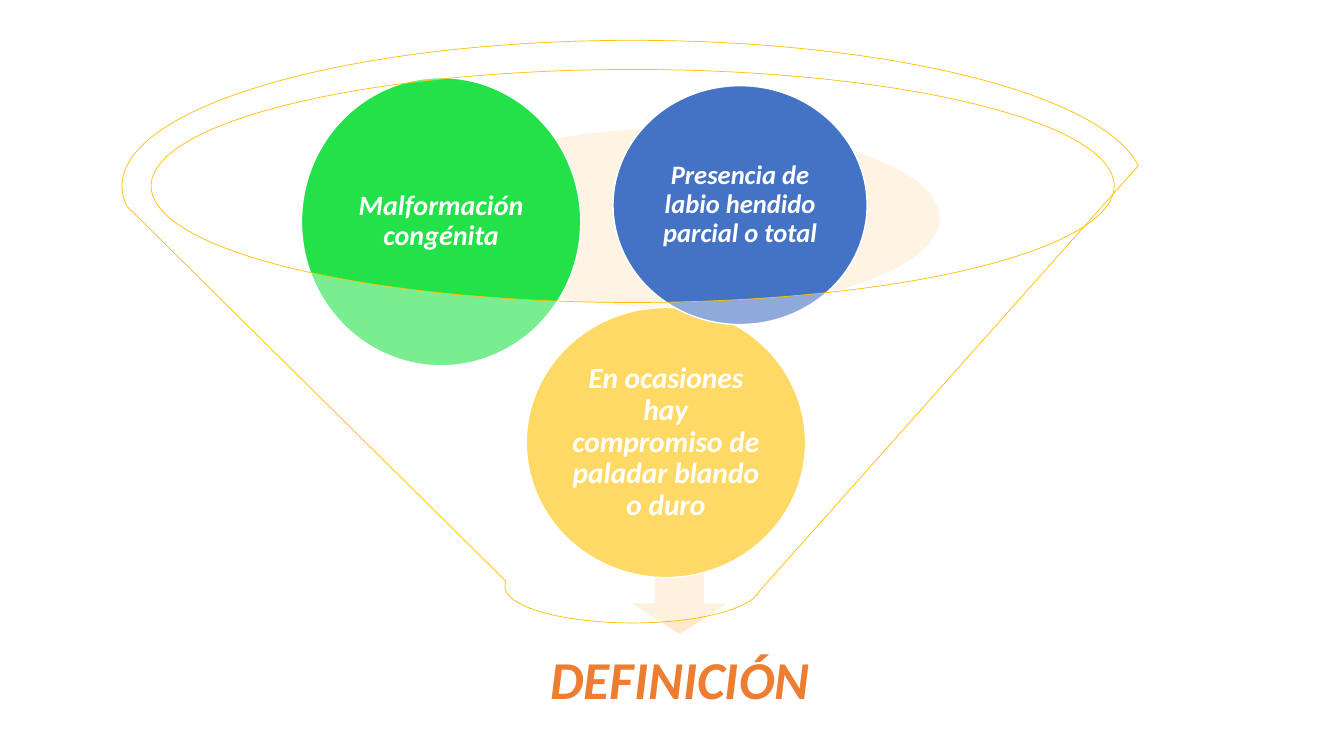
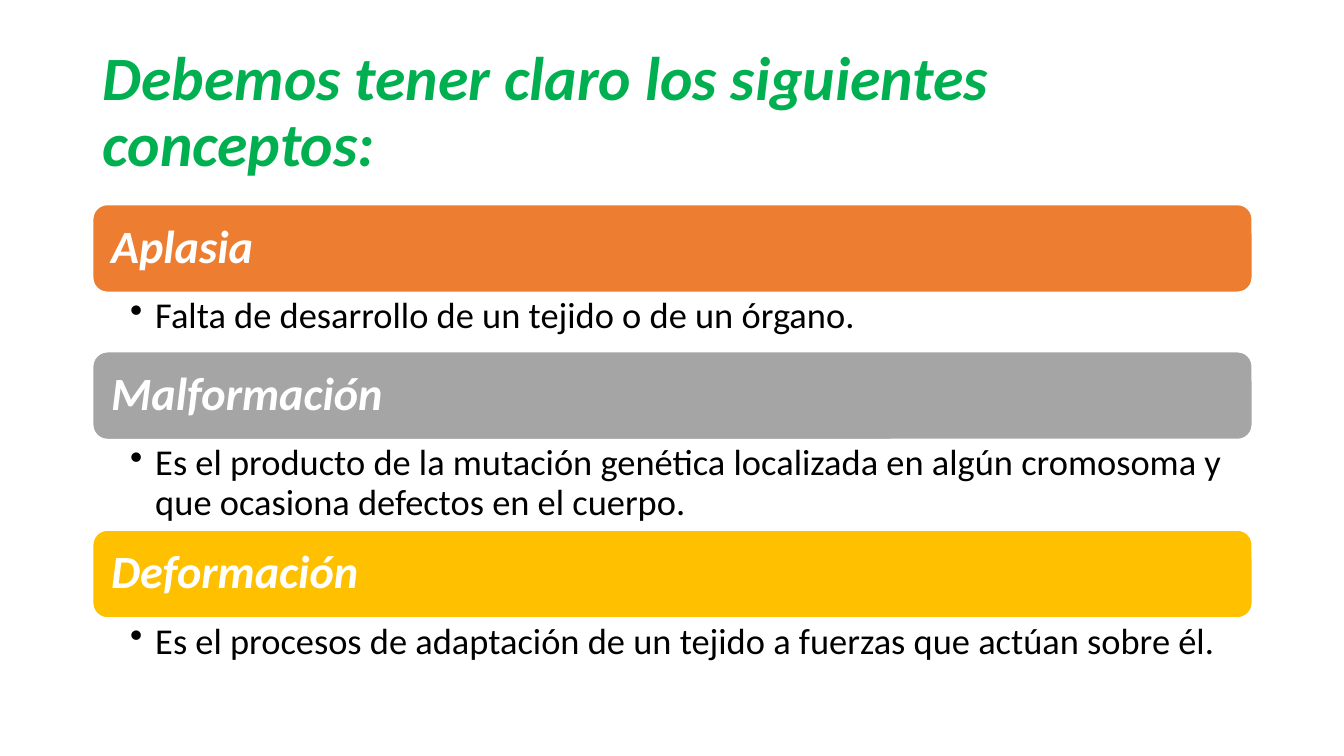
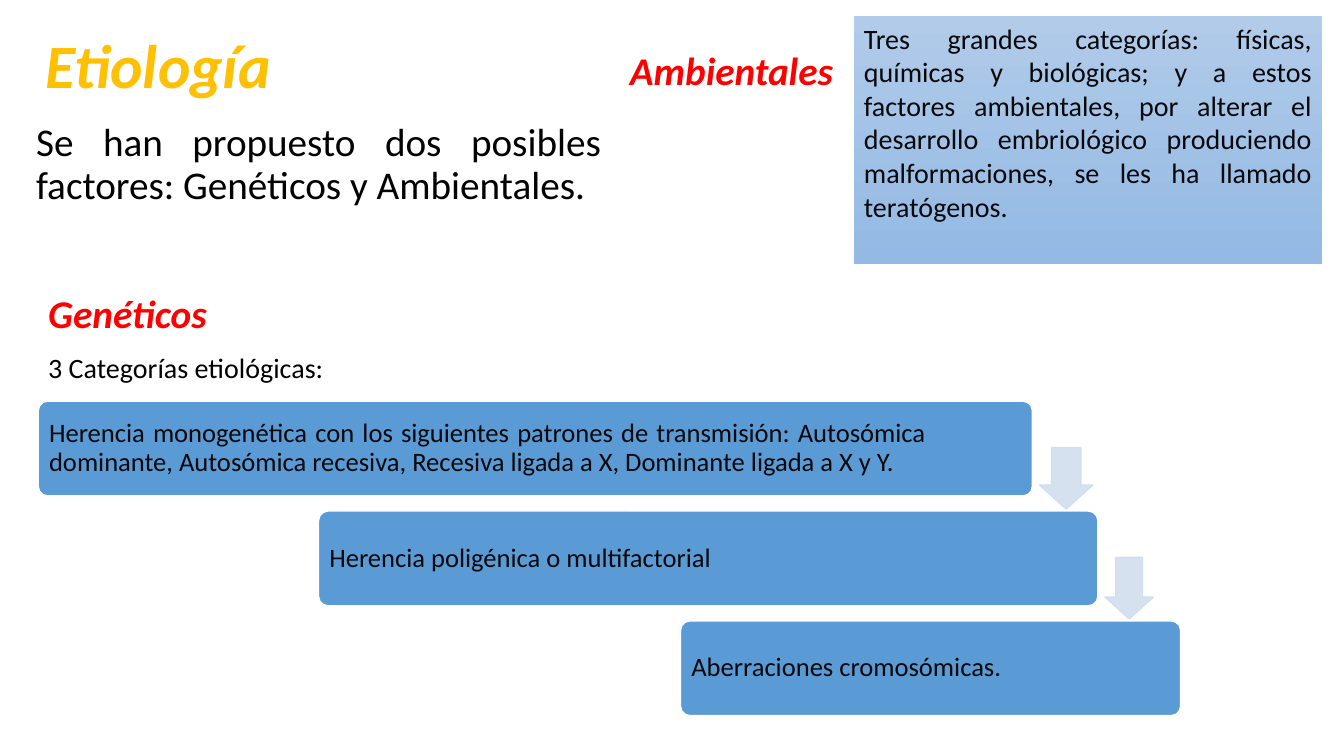
"""Build three slides on the definition, concepts and aetiology of cleft lip."""
import dataclasses

import pptx
import pptx.dml.color
import pptx.enum.shapes
import pptx.enum.text
import pptx.oxml.ns
import pptx.oxml.xmlchemy
import pptx.util
from lxml import etree

Inches = pptx.util.Inches
SHAPE = pptx.enum.shapes.MSO_SHAPE
ALIGN = pptx.enum.text.PP_ALIGN
ANCHOR = pptx.enum.text.MSO_ANCHOR
RGB = pptx.dml.color.RGBColor.from_string
qn = pptx.oxml.ns.qn


@dataclasses.dataclass(frozen=True)
class Theme:
    font: str = "Calibri"
    white: str = "FFFFFF"
    black: str = "000000"
    ink: str = "07080B"
    orange: str = "ED7D31"
    gold: str = "FFC000"
    grey: str = "A5A5A5"
    blue: str = "4472C4"
    sky: str = "5B9BD5"
    ice: str = "D2DEEF"
    lime: str = "23E148"
    green: str = "00B050"
    red: str = "FF0000"
    cream: str = "FFE2BD"
    peach: str = "FFE8CC"
    panel_top: str = "B1CBE9"
    panel_bottom: str = "93B9E4"
    title: int = 44
    outcome: int = 38
    band: int = 33
    heading: int = 28
    bullet: int = 26
    body: int = 20
    step: int = 19


theme = Theme()


def write_text(tf, text, size, color, strong=False, align=ALIGN.LEFT, anchor=ANCHOR.TOP,
               spacing=1, inset=(0.1, 0.05, 0.1, 0.05), bullet=False):
    tf.word_wrap = True
    tf.auto_size = pptx.enum.text.MSO_AUTO_SIZE.NONE
    tf.vertical_anchor = anchor
    tf.margin_left, tf.margin_top, tf.margin_right, tf.margin_bottom = map(Inches, inset)
    p = tf.paragraphs[0]
    p.alignment, p.line_spacing = align, spacing
    if bullet:
        pPr = p._p.get_or_add_pPr()
        pPr.set("marL", str(Inches(0.25)))
        pPr.set("indent", str(Inches(-0.25)))
        etree.SubElement(pPr, qn("a:buChar")).set("char", "•")
    r = p.add_run()
    r.text = text
    r.font.name, r.font.size = theme.font, pptx.util.Pt(size)
    r.font.bold = r.font.italic = strong
    r.font.color.rgb = RGB(color)


def add_shape(s, kind, box, fill, line=None, width=1, alpha=None):
    sp = s.shapes.add_shape(kind, *map(Inches, box))
    sp.shadow.inherit = False
    sp.fill.solid()
    sp.fill.fore_color.rgb = RGB(fill)
    if alpha:
        color = sp._element.spPr.find(qn("a:solidFill"))[0]
        etree.SubElement(color, qn("a:alpha")).set("val", str(alpha * 1000))
    if line:
        sp.line.color.rgb = RGB(line)
        sp.line.width = pptx.util.Pt(width)
    else:
        sp.line.fill.background()
    return sp


prs = pptx.Presentation()
prs.slide_width, prs.slide_height = Inches(13.33), Inches(7.5)

titles = [
    ("DEFINICIÓN", (4.34, 6.17, 4.81, 1.2), theme.orange, theme.outcome, ALIGN.CENTER, (0.3,) * 4),
    ("Debemos tener claro los siguientes conceptos:", (0.92, 0.4, 11.5, 1.45), theme.green,
     theme.title, ALIGN.LEFT, (0.1, 0.05, 0.1, 0.05)),
    ("Etiología", (0.35, 0.07, 4.16, 1.22), theme.gold, theme.title, ALIGN.LEFT,
     (0.1, 0.05, 0.1, 0.05)),
]
for text, box, color, size, align, inset in titles:
    s = prs.slides.add_slide(prs.slide_layouts[5])
    sp = s.shapes.title
    sp.left, sp.top, sp.width, sp.height = map(Inches, box)
    write_text(sp.text_frame, text, size, color, strong=True, align=align,
               anchor=ANCHOR.MIDDLE, spacing=0.9, inset=inset)
definition, concepts, aetiology = prs.slides

add_shape(definition, SHAPE.OVAL, (4.15, 1.27, 5.17, 1.79), theme.cream, alpha=40)
add_shape(definition, SHAPE.DOWN_ARROW, (6.24, 5.66, 1, 0.64), theme.peach, theme.white)
balls = [
    ("En ocasiones hay compromiso de paladar blando o duro", (5.22, 3.05, 2.77, 2.68), theme.gold, 21),
    ("Malformación congénita", (2.99, 0.77, 2.77, 2.86), theme.lime, 20),
    ("Presencia de labio hendido parcial o total", (6.08, 0.85, 2.52, 2.37), theme.blue, 19),
]
for text, box, fill, size in balls:
    sp = add_shape(definition, SHAPE.OVAL, box, fill, theme.white)
    write_text(sp.text_frame, text, size, theme.white, strong=True, align=ALIGN.CENTER,
               anchor=ANCHOR.MIDDLE, spacing=0.9, inset=(0.03,) * 4)
add_shape(definition, SHAPE.FUNNEL, (1.21, 0.4, 10.13, 5.78), theme.white, theme.gold, 0.5, alpha=40)

terms = [
    ("Aplasia", theme.orange, 0.59, "Falta de desarrollo de un tejido o de un órgano."),
    ("Malformación", theme.grey, 0.9,
     "Es el producto de la mutación genética localizada en algún cromosoma y que ocasiona "
     "defectos en el cuerpo."),
    ("Deformación", theme.gold, 0.59,
     "Es el procesos de adaptación de un tejido a fuerzas que actúan sobre él."),
]
top, band_height = 2.03, 0.87
for term, fill, height, meaning in terms:
    sp = add_shape(concepts, SHAPE.ROUNDED_RECTANGLE, (0.92, top, 11.5, band_height), fill, theme.white)
    write_text(sp.text_frame, term, theme.band, theme.white, strong=True, anchor=ANCHOR.MIDDLE,
               spacing=0.9, inset=(0.14,) * 4)
    top += band_height
    sp = concepts.shapes.add_textbox(*map(Inches, (0.92, top, 11.5, height)))
    write_text(sp.text_frame, meaning, theme.bullet, theme.black, spacing=0.9,
               inset=(0.37, 0.05, 0.26, 0.05), bullet=True)
    top += height

heading = dict(size=theme.heading, color=theme.red, strong=True)
notes = [
    ("Se han propuesto dos posibles factores: Genéticos y Ambientales.", (0.26, 1.17, 5.8, 1.15),
     dict(size=theme.heading, color=theme.black, align=ALIGN.JUSTIFY, spacing=0.9)),
    ("Genéticos", (0.38, 2.82, 2.27, 0.57), heading),
    ("3 Categorías etiológicas:", (0.38, 3.43, 3.08, 0.44), dict(size=theme.body, color=theme.black)),
    ("Ambientales", (6.15, 0.41, 2.33, 0.57), heading),
]
for text, box, style in notes:
    sp = aetiology.shapes.add_textbox(*map(Inches, box))
    write_text(sp.text_frame, text, **style)

steps = [
    ("Herencia monogenética con los siguientes patrones de transmisión: Autosómica dominante, "
     "Autosómica recesiva, Recesiva ligada a X, Dominante ligada a X y Y.", 0.38, 9.86, 0.53),
    ("Herencia poligénica o multifactorial", 3.16, 7.73, 0.48),
    ("Aberraciones cromosómicas.", 6.75, 4.96, None),
]
for i, (text, left, width, arrow_width) in enumerate(steps):
    top = 3.98 + 1.09 * i
    sp = add_shape(aetiology, SHAPE.ROUNDED_RECTANGLE, (left, top, width, 0.94), theme.sky, theme.white)
    sp.adjustments[0] = 0.1
    write_text(sp.text_frame, text, theme.step, theme.ink, align=ALIGN.JUSTIFY,
               anchor=ANCHOR.MIDDLE, spacing=0.9, inset=(0.08, 0.08, 1.03, 0.08))
    if arrow_width:
        sp = add_shape(aetiology, SHAPE.DOWN_ARROW, (left + width + 0.07, top + 0.46, arrow_width, 0.61),
                       theme.ice, theme.ice, alpha=90)
        sp.adjustments[0], sp.adjustments[1] = 0.55, 0.45

panel = add_shape(aetiology, SHAPE.RECTANGLE, (8.47, 0.16, 4.64, 2.46), theme.panel_top)
panel.fill.gradient()
panel.fill.gradient_angle = 270
for stop, color in zip(panel.fill.gradient_stops, (theme.panel_top, theme.panel_bottom)):
    stop.color.rgb = RGB(color)
write_text(panel.text_frame,
           "Tres grandes categorías: físicas, químicas y biológicas; y a estos factores ambientales, "
           "por alterar el desarrollo embriológico produciendo malformaciones, se les ha llamado "
           "teratógenos.", theme.body, theme.ink, align=ALIGN.JUSTIFY)

prs.save("out.pptx")
